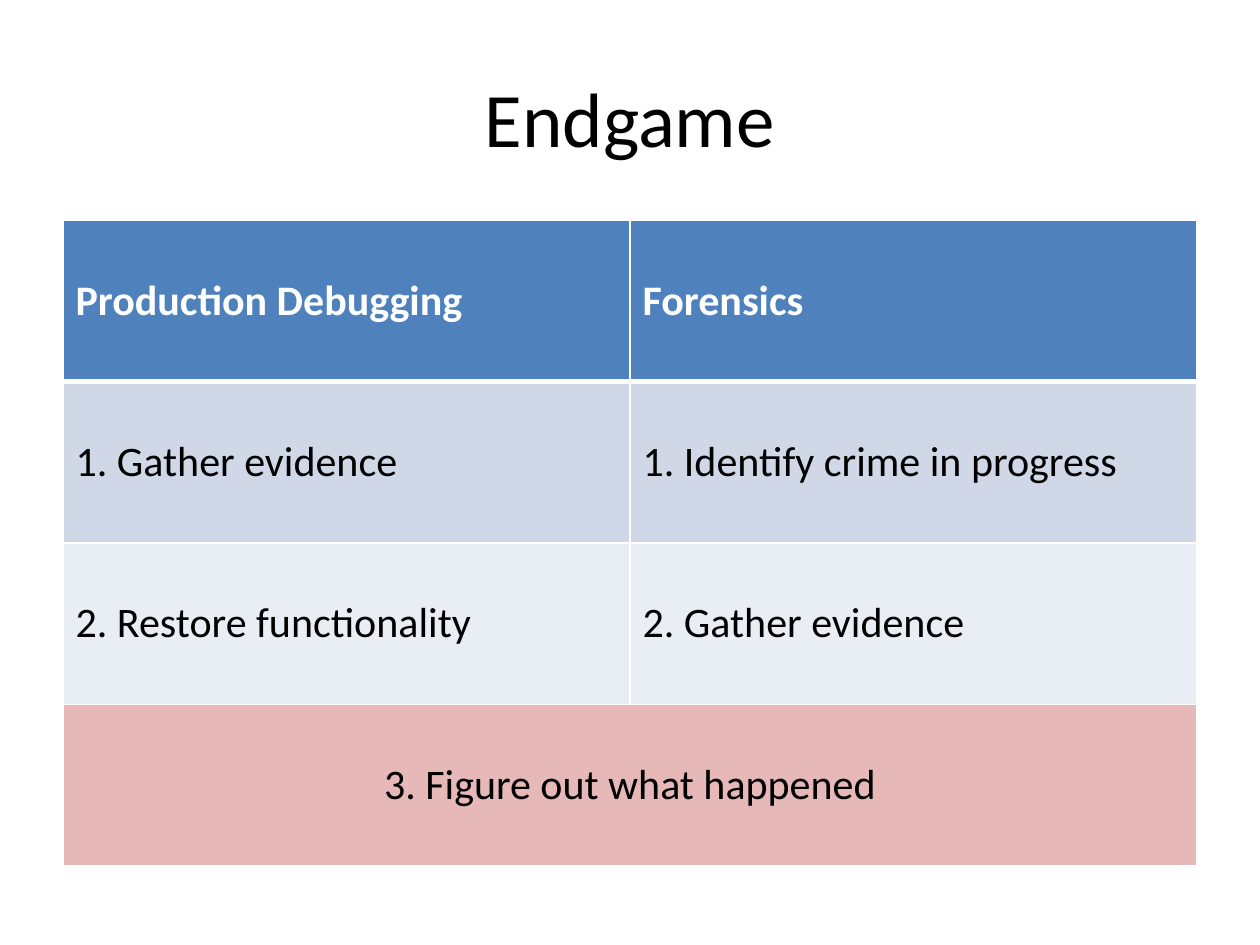
from lxml import etree
from pptx import Presentation
from pptx import util as u
from pptx.dml.color import RGBColor
from pptx.enum import text
from pptx.oxml.ns import qn

COLORS = {
    "ink": "000000",
    "white": "FFFFFF",
    "header": "4F81BD",
    "dark_band": "D0D8E8",
    "light_band": "E9EDF4",
    "shared": "E6B9B8",
}
STEPS = [
    ("header", ["Production Debugging", "Forensics"]),
    ("dark_band", ["1. Gather evidence", "1. Identify crime in progress"]),
    ("light_band", ["2. Restore functionality", "2. Gather evidence"]),
    ("shared", ["3. Figure out what happened"]),
]


class Deck:
    font = "Calibri"

    def __init__(self, width, height):
        self.prs = Presentation()
        self.prs.slide_width = u.Inches(width)
        self.prs.slide_height = u.Inches(height)
        self.slide = self.prs.slides.add_slide(self.prs.slide_layouts[6])

    def box(self, left, top, width, height):
        w, h = self.prs.slide_width, self.prs.slide_height
        return [round(v) for v in (left * w, top * h, width * w, height * h)]

    def label(self, frame, words, size, color, centred=False, bold=False):
        paragraph = frame.paragraphs[0]
        paragraph.text = words
        paragraph.alignment = text.PP_ALIGN.CENTER if centred else text.PP_ALIGN.LEFT
        paragraph.font.name = self.font
        paragraph.font.size = u.Pt(size)
        paragraph.font.bold = bold
        paragraph.font.color.rgb = RGBColor.from_string(COLORS[color])

    def title(self, words, *area):
        frame = self.slide.shapes.add_textbox(*self.box(*area)).text_frame
        frame.word_wrap = True
        frame.vertical_anchor = text.MSO_ANCHOR.MIDDLE
        self.label(frame, words, 44, "ink", centred=True)

    def borders(self, cell, top, bottom):
        properties = cell._tc.get_or_add_tcPr()
        for side, points in (("L", 1), ("R", 1), ("T", top), ("B", bottom)):
            line = etree.SubElement(properties, qn(f"a:ln{side}"), w=str(u.Pt(points)))
            fill = etree.SubElement(line, qn("a:solidFill"))
            etree.SubElement(fill, qn("a:srgbClr"), val=COLORS["white"])

    def table(self, rows, columns, *area):
        grid = self.slide.shapes.add_table(len(rows), columns, *self.box(*area)).table
        for r, (color, entries) in enumerate(rows):
            header = r == 0
            shared = len(entries) < columns
            for c in range(columns):
                cell = grid.cell(r, c)
                self.borders(cell, 3 if r == 1 else 1, 3 if header else 1)
                cell.fill.solid()
                cell.fill.fore_color.rgb = RGBColor.from_string(COLORS[color])
                cell.vertical_anchor = text.MSO_ANCHOR.MIDDLE
            if shared:
                grid.cell(r, 0).merge(grid.cell(r, columns - 1))
            for c, words in enumerate(entries):
                self.label(grid.cell(r, c).text_frame, words, 24,
                           "white" if header else "ink", shared, header)


def main():
    deck = Deck(10, 7.5)
    deck.title("Endgame", 0.05, 0.04, 0.9, 1 / 6)
    deck.table(STEPS, 2, 0.05, 1.75 / 7.5, 0.9, 5.12 / 7.5)
    deck.prs.save("out.pptx")


if __name__ == "__main__":
    main()
